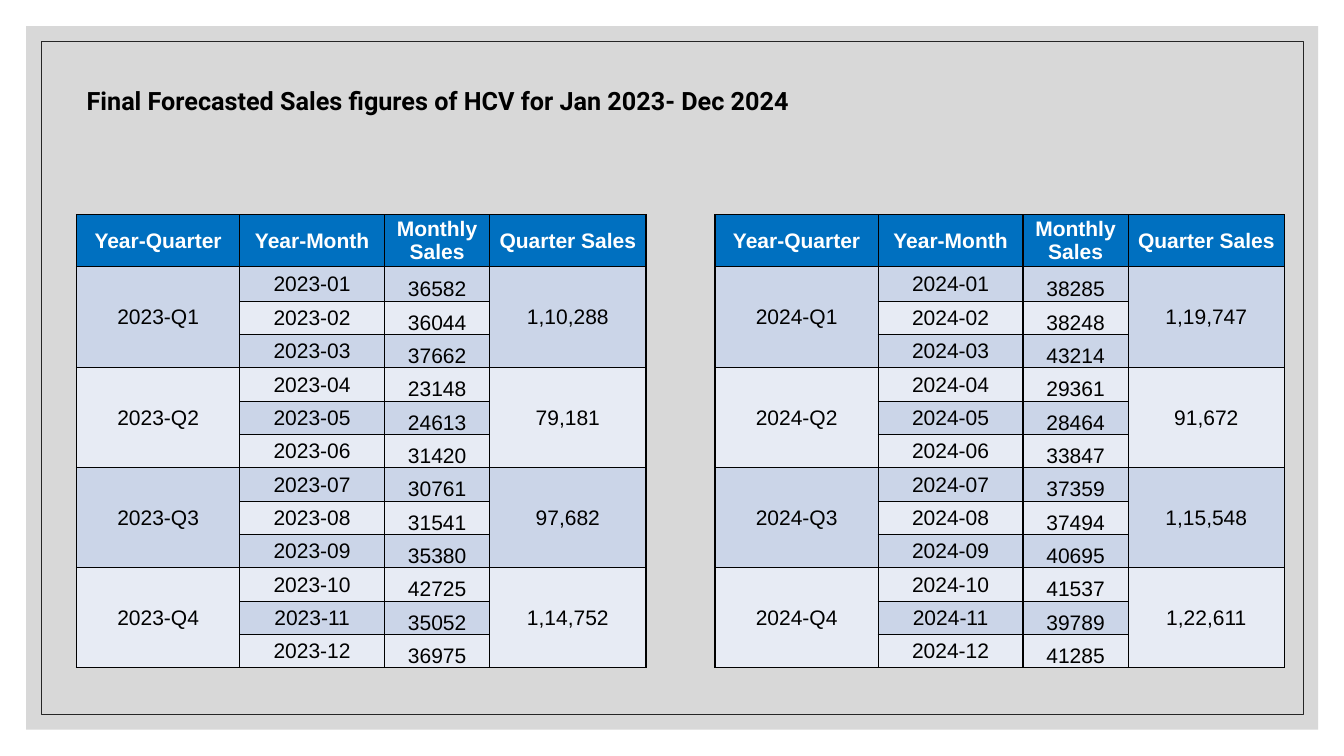
from lxml.etree import SubElement as Sub
from pptx import Presentation
from pptx.dml.color import RGBColor as RGB
from pptx.enum.shapes import MSO_SHAPE as Shape
from pptx.enum.text import MSO_ANCHOR as Anchor, MSO_AUTO_SIZE as Auto, PP_ALIGN as Align
from pptx.oxml.ns import qn
from pptx.util import Cm, Pt

BLACK = RGB(0x00, 0x00, 0x00)
WHITE = RGB(0xFF, 0xFF, 0xFF)
GRAY = RGB(0xBF, 0xBF, 0xBF)
DARK = RGB(0x26, 0x26, 0x26)
BLUE = RGB(0x00, 0x70, 0xC0)
BANDS = RGB(0xCB, 0xD5, 0xE8), RGB(0xE7, 0xEB, 0xF4)

HEADS = "Year-Quarter", "Year-Month", "Monthly Sales", "Quarter Sales"
WIDTHS = 4.11, 3.65, 2.65, 3.94
HEIGHTS = [1.3, 0.88] + [0.84] * 11
SALES = {
    2023: [("1,10,288", (36582, 36044, 37662)), ("79,181", (23148, 24613, 31420)),
           ("97,682", (30761, 31541, 35380)), ("1,14,752", (42725, 35052, 36975))],
    2024: [("1,19,747", (38285, 38248, 43214)), ("91,672", (29361, 28464, 33847)),
           ("1,15,548", (37359, 37494, 40695)), ("1,22,611", (41537, 39789, 41285))],
}


class Deck:
    """Holds the style and the current slide, and draws its elements."""

    def __init__(self):
        self.file = Presentation()
        self.file.slide_width, self.file.slide_height = Cm(33.87), Cm(19.05)
        self.slide = self.file.slides.add_slide(self.file.slide_layouts[5])
        self.font, self.size = "Arial", 15

    def text(self, para, words, size, font, color, bold):
        run = para.add_run()
        run.text = words
        run.font.size, run.font.name, run.font.bold = Pt(size), font, bold
        run.font.color.rgb = color

    def panel(self, left, top, width, height):
        box = self.slide.shapes.add_shape(
            Shape.RECTANGLE, Cm(left), Cm(top), Cm(width), Cm(height))
        box.shadow.inherit = False
        return box

    def back(self):
        box = self.panel(0.66, 0.66, 32.56, 17.73)
        box.fill.solid()
        box.fill.fore_color.rgb = GRAY
        tint = box._element.spPr.find(qn("a:solidFill")).find(qn("a:srgbClr"))
        Sub(tint, qn("a:alpha"), val="60000")
        box.line.fill.background()

    def frame(self):
        box = self.panel(1.04, 1.04, 31.8, 16.97)
        box.fill.background()
        box.line.color.rgb = DARK
        box.line.width = Pt(0.5)

    def title(self, words):
        box = self.slide.shapes.title
        box._element.getparent().append(box._element)
        box.left, box.top, box.width, box.height = Cm(1.93), Cm(2.01), Cm(19.46), Cm(1.02)
        body = box.text_frame
        body.word_wrap, body.auto_size = True, Auto.SHAPE_TO_FIT_TEXT
        body.vertical_anchor = Anchor.TOP
        para = body.paragraphs[0]
        para.alignment = Align.LEFT
        self.text(para, words, 18, "Roboto", BLACK, True)

    def cell(self, cell, fill):
        cell.margin_left = cell.margin_right = cell.margin_top = Cm(0.02)
        cell.margin_bottom = 0
        props = cell._tc.get_or_add_tcPr()
        for side in "LRTB":
            line = Sub(props, qn("a:ln" + side), w=str(int(Pt(1))))
            Sub(Sub(line, qn("a:solidFill")), qn("a:srgbClr"), val=str(BLACK))
        cell.fill.solid()
        cell.fill.fore_color.rgb = fill

    def label(self, cell, words, color=BLACK, bold=False, anchor=Anchor.MIDDLE):
        cell.vertical_anchor = anchor
        para = cell.text_frame.paragraphs[0]
        para.alignment = Align.CENTER
        self.text(para, words, self.size, self.font, color, bold)

    def table(self, left, year, data):
        grid = self.slide.shapes.add_table(
            len(HEIGHTS), len(WIDTHS), Cm(left), Cm(5.41),
            Cm(sum(WIDTHS)), Cm(sum(HEIGHTS))).table
        for col, width in zip(grid.columns, WIDTHS):
            col.width = Cm(width)
        for num, (row, height) in enumerate(zip(grid.rows, HEIGHTS)):
            row.height = Cm(height)
            for cell in row.cells:
                self.cell(cell, BANDS[(num - 1) % 2] if num else BLUE)
        for col, head in enumerate(HEADS):
            self.label(grid.cell(0, col), head, WHITE, True)
        for part, (total, months) in enumerate(data):
            first = 3 * part + 1
            for col, words in (0, f"{year}-Q{part + 1}"), (3, total):
                grid.cell(first, col).merge(grid.cell(first + 2, col))
                self.label(grid.cell(first, col), words)
            for month, sales in enumerate(months, first):
                self.label(grid.cell(month, 1), f"{year}-{month:02}")
                self.label(grid.cell(month, 2), str(sales), anchor=Anchor.BOTTOM)


def main():
    deck = Deck()
    deck.back()
    deck.frame()
    for left, (year, data) in zip((1.93, 18.02), SALES.items()):
        deck.table(left, year, data)
    deck.title("Final Forecasted Sales figures of HCV for Jan 2023- Dec 2024")
    deck.file.save("out.pptx")


if __name__ == "__main__":
    main()
